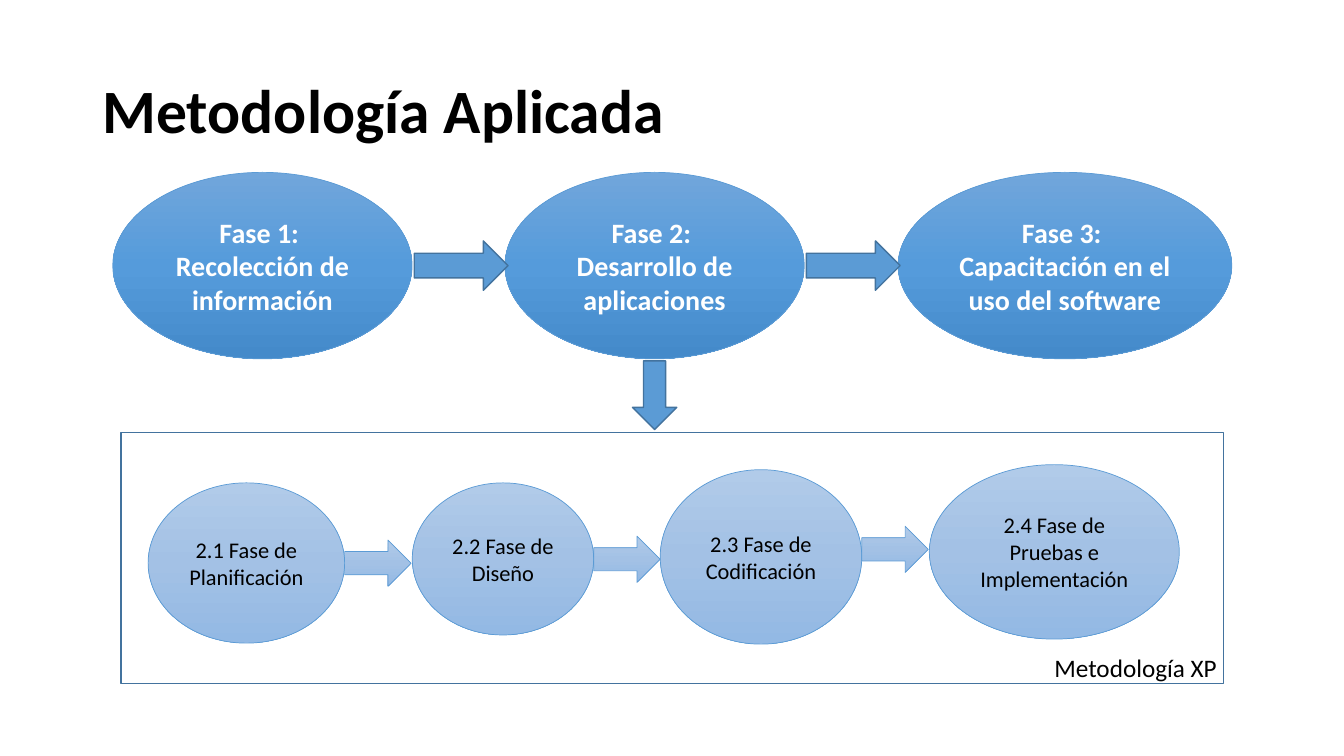
from copy import deepcopy

from pptx import Presentation
from pptx.dml.color import RGBColor
from pptx.enum import shapes, text
from pptx.oxml.ns import qn
from pptx.util import Pt

COLORS = {
    "black": "000000", "white": "FFFFFF", "blue": "5B9BD5", "outline": "43739E",
    "strong": ("71A6DB", "559BDB", "448ACA"),
    "pale": ("B1CBE9", "A3C1E5", "93B9E4"),
}
FONT = "Calibri"

TITLE = "Metodología Aplicada"
FRAME_LABEL = "Metodología XP"
# left, width, paragraphs
PHASES = [
    (80.6, 213.8, ["Fase 1: ", "Recolección de información"]),
    (360.7, 213.8, ["Fase 2: ", "Desarrollo de aplicaciones"]),
    (641.5, 238.3, ["Fase 3: ", "Capacitación en el uso del software"]),
]
# left, top, width, height, text
STEPS = [
    (105.8, 344.9, 140.4, 114.5, "2.1 Fase de Planificación"),
    (294.5, 344.9, 129.6, 108.7, "2.2 Fase de Diseño"),
    (471.6, 335.5, 144, 124.6, "2.3 Fase de Codificación"),
    (663.8, 331.9, 178.6, 124.6, "2.4 Fase de Pruebas e Implementación"),
]
STEP_ARROW_MIDDLES = [402.3, 399.5, 392.4]
PHASE_TOP, PHASE_HEIGHT = 123.1, 133.2
PHASE_ARROW = (67, 35.3)
STEP_ARROW = (47.5, 33.1)
DOWN_ARROW = (31.7, 49)
GAP = 1.5
FRAME = (86.4, 308.9, 787.7, 179.3)

presentation = Presentation()
presentation.slide_width, presentation.slide_height = Pt(960), Pt(540)
slide = presentation.slides.add_slide(presentation.slide_layouts[6])


def rgb(name):
    return RGBColor.from_string(COLORS[name])


def write(shape, paragraphs, size, color="black", bold=False,
          align=text.PP_ALIGN.CENTER, anchor=text.MSO_ANCHOR.MIDDLE, spacing=None):
    frame = shape.text_frame
    frame.word_wrap = True
    frame.vertical_anchor = anchor
    frame.text = "\n".join(paragraphs)
    for paragraph in frame.paragraphs:
        paragraph.alignment = align
        paragraph.line_spacing = spacing
        font = paragraph.font
        font.name, font.size, font.bold = FONT, Pt(size), bold
        font.color.rgb = rgb(color)


def add_text(box, paragraphs, size, **style):
    write(slide.shapes.add_textbox(*map(Pt, box)), paragraphs, size, **style)


def fill_gradient(shape, name):
    """Fill from top to bottom with the three named colours, evenly spaced."""
    shape.fill.gradient()
    stop_list = shape.element.spPr.find(qn("a:gradFill")).find(qn("a:gsLst"))
    stop_list.append(deepcopy(stop_list[0]))
    shape.fill.gradient_angle = 270
    for index, (stop, value) in enumerate(zip(shape.fill.gradient_stops, COLORS[name])):
        stop.position = index / 2
        stop.color.rgb = RGBColor.from_string(value)


def add_shape(kind, box, fill=None, line="blue", width=0.5):
    shape = slide.shapes.add_shape(kind, *map(Pt, box))
    shape.shadow.inherit = False
    if fill is None:
        shape.fill.background()
    elif isinstance(COLORS[fill], tuple):
        fill_gradient(shape, fill)
    else:
        shape.fill.solid()
        shape.fill.fore_color.rgb = rgb(fill)
    shape.line.color.rgb = rgb(line)
    shape.line.width = Pt(width)
    return shape


def add_right_arrow(left, middle, size, **style):
    width, height = size
    add_shape(shapes.MSO_SHAPE.RIGHT_ARROW, (left, middle - height / 2, width, height), **style)


solid = dict(fill="blue", line="outline", width=1)

add_text((66.2, 28.8, 828, 104.4), [TITLE], 44, bold=True,
         align=text.PP_ALIGN.LEFT, spacing=0.9)

for left, width, paragraphs in PHASES:
    ellipse = add_shape(shapes.MSO_SHAPE.OVAL, (left, PHASE_TOP, width, PHASE_HEIGHT), "strong")
    write(ellipse, paragraphs, 20, color="white", bold=True)
for left, width, _ in PHASES[:-1]:
    add_right_arrow(left + width + GAP, PHASE_TOP + PHASE_HEIGHT / 2, PHASE_ARROW, **solid)

second_left, second_width, _ = PHASES[1]
add_shape(shapes.MSO_SHAPE.DOWN_ARROW,
          (second_left + (second_width - DOWN_ARROW[0]) / 2,
           PHASE_TOP + PHASE_HEIGHT + GAP, *DOWN_ARROW), **solid)

for *box, label in STEPS:
    write(add_shape(shapes.MSO_SHAPE.OVAL, box, "pale"), [label], 16)
for (left, _, width, _, _), middle in zip(STEPS, STEP_ARROW_MIDDLES):
    add_right_arrow(left + width, middle, STEP_ARROW, fill="pale")

add_shape(shapes.MSO_SHAPE.RECTANGLE, FRAME, line="outline", width=1)
add_text((611.3, 462.2, 265, 29), [FRAME_LABEL], 18,
         align=text.PP_ALIGN.RIGHT, anchor=text.MSO_ANCHOR.TOP)

presentation.save("out.pptx")
